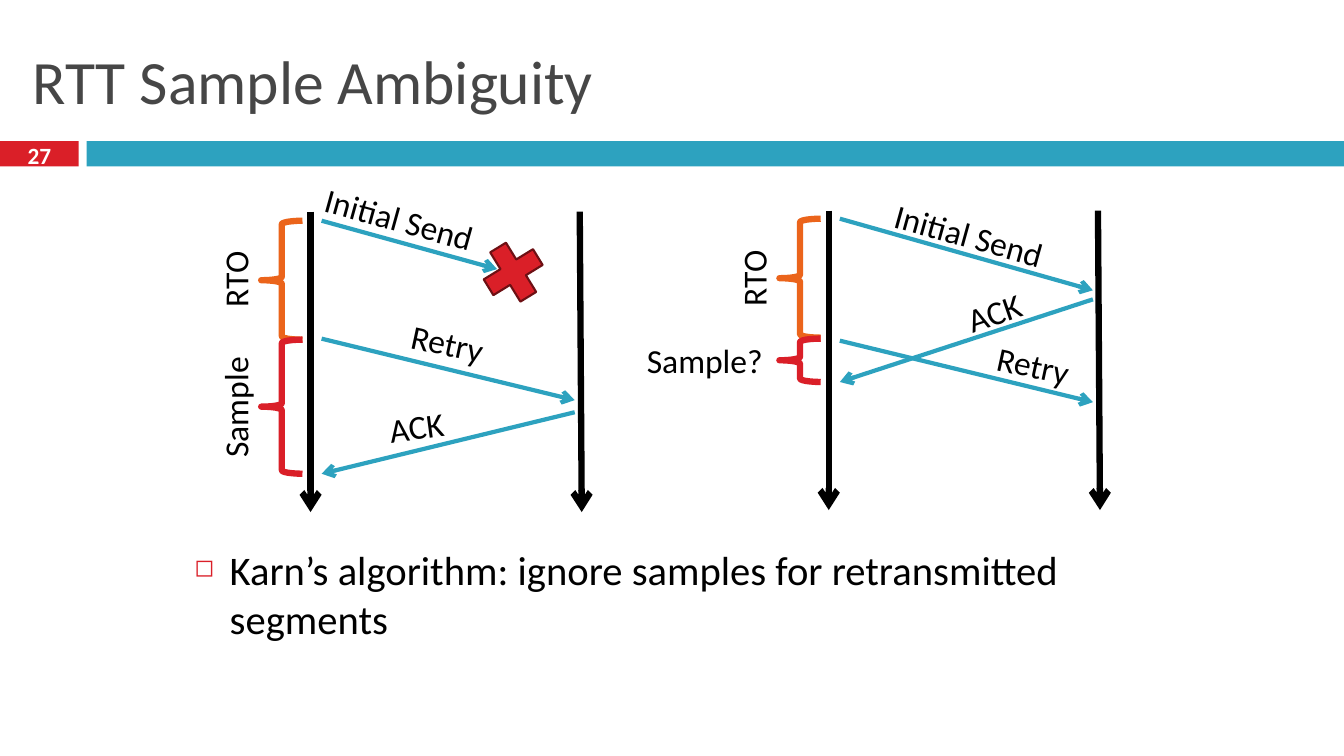
from dataclasses import dataclass

from lxml import etree
from pptx import Presentation
from pptx import util as u
from pptx.dml.color import RGBColor
from pptx.enum import shapes, text
from pptx.oxml.ns import qn

TITLE = "RTT Sample Ambiguity"
NUMBER = "27"
TAKEAWAY = "Karn’s algorithm: ignore samples for retransmitted segments"


@dataclass(frozen=True)
class Theme:
    font: str = "Calibri"
    black: str = "000000"
    white: str = "FFFFFF"
    grey: str = "464646"
    teal: str = "2DA2BF"
    red: str = "DA1F28"
    dark_red: str = "6D1014"
    orange: str = "EB641B"
    title: float = 44
    body: float = 29
    label: float = 24
    number: float = 16.6
    thick: float = 4.5
    medium: float = 3
    thin: float = 1.5


THEME = Theme()
SCALE = 9144
SENDER, RECEIVER, LOST = 11, 262, 185
BRACE_LEFT, BRACE_WIDTH = -49, 41
LABEL_HEIGHT = 50

# fmt: off
EXCHANGES = [
    {
        "x": 308, "top": 210, "bottom": 508,
        "messages": [
            (SENDER, 219, LOST, 267),
            (SENDER, 336, RECEIVER, 397),
            (RECEIVER, 409, SENDER, 470),
        ],
        "braces": [(219, 118, THEME.orange), (337, 133, THEME.red)],
        "labels": [
            ("Initial Send", 88, 217, 219, 15.6),
            ("Retry", 136, 340, 111, 12.3),
            ("ACK", 105, 423, 116, -7.8),
            ("RTO", -75, 277, 107, -90),
            ("Sample", -75, 404, 146, -90),
        ],
    },
    {
        "x": 822, "top": 209, "bottom": 506,
        "messages": [
            (SENDER, 217, RECEIVER, 288),
            (RECEIVER, 297, SENDER, 379),
            (SENDER, 338, RECEIVER, 399),
        ],
        "braces": [(217, 118, THEME.orange), (336, 43, THEME.red)],
        "labels": [
            ("Initial Send", 139, 233, 219, 15.6),
            ("ACK", 164, 310, 116, -19),
            ("Retry", 203, 362, 111, 12.3),
            ("RTO", -75, 276, 107, -90),
            ("Sample?", -123, 357, 158, 0),
        ],
    },
]
# fmt: on


def px(*lengths):
    return [u.Emu(round(length * SCALE)) for length in lengths]


def rgb(value):
    return RGBColor.from_string(value)


def write(frame, words, size, color, align=text.PP_ALIGN.LEFT,
          anchor=text.MSO_ANCHOR.TOP, bold=False):
    frame.word_wrap = True
    frame.auto_size = text.MSO_AUTO_SIZE.NONE
    frame.vertical_anchor = anchor
    paragraph = frame.paragraphs[0]
    paragraph.alignment = align
    run = paragraph.add_run()
    run.text = words
    run.font.name = THEME.font
    run.font.size = u.Pt(size)
    run.font.bold = bold
    run.font.color.rgb = rgb(color)
    return paragraph


def add_bullet(paragraph):
    properties = paragraph._p.get_or_add_pPr()
    indent = px(35)[0]
    properties.set("marL", str(indent))
    properties.set("indent", str(-indent))
    color = etree.SubElement(properties, qn("a:buClr"))
    etree.SubElement(color, qn("a:srgbClr"), val=THEME.red)
    etree.SubElement(properties, qn("a:buSzPct"), val="60000")
    etree.SubElement(properties, qn("a:buChar"), char="◻")


def add_shape(slide, kind, box, fill=None, line=None, width=0):
    shape = slide.shapes.add_shape(kind, *px(*box))
    shape.shadow.inherit = False
    if fill:
        shape.fill.solid()
        shape.fill.fore_color.rgb = rgb(fill)
    else:
        shape.fill.background()
    if line:
        shape.line.color.rgb = rgb(line)
        shape.line.width = u.Pt(width)
    else:
        shape.line.fill.background()
    return shape


def add_arrow(slide, ends, color, width):
    arrow = slide.shapes.add_connector(shapes.MSO_CONNECTOR.STRAIGHT, *px(*ends))
    arrow.line.color.rgb = rgb(color)
    arrow.line.width = u.Pt(width)
    etree.SubElement(arrow.line._get_or_add_ln(), qn("a:tailEnd"), type="arrow")
    etree.SubElement(arrow._element.spPr, qn("a:effectLst"))


def add_label(slide, words, center_x, center_y, width, rotation):
    box = slide.shapes.add_textbox(
        *px(center_x - width / 2, center_y - LABEL_HEIGHT / 2, width, LABEL_HEIGHT))
    box.rotation = rotation
    write(box.text_frame, words, THEME.label, THEME.black, text.PP_ALIGN.CENTER)


def add_exchange(slide, exchange):
    x, top, bottom = exchange["x"], exchange["top"], exchange["bottom"]
    for start, end in [(0, 0), (267, 269)]:
        add_arrow(slide, (x + start, top, x + end, bottom), THEME.black, THEME.thick)
    for start, start_y, end, end_y in exchange["messages"]:
        add_arrow(slide, (x + start, start_y, x + end, end_y), THEME.teal, THEME.medium)
    for brace_top, height, color in exchange["braces"]:
        add_shape(slide, shapes.MSO_SHAPE.LEFT_BRACE,
                  (x + BRACE_LEFT, brace_top, BRACE_WIDTH, height),
                  line=color, width=THEME.thick)
    for words, offset, center_y, width, rotation in exchange["labels"]:
        add_label(slide, words, x + offset, center_y, width, rotation)


def main():
    presentation = Presentation()
    presentation.slide_width, presentation.slide_height = px(1333, 750)
    slide = presentation.slides.add_slide(presentation.slide_layouts[5])

    title = slide.shapes.title
    title.left, title.top, title.width, title.height = px(22, 25, 1289, 108)
    write(title.text_frame, TITLE, THEME.title, THEME.grey,
          anchor=text.MSO_ANCHOR.MIDDLE)

    rectangle = shapes.MSO_SHAPE.RECTANGLE
    add_shape(slide, rectangle, (0, 140, 78, 25), THEME.red)
    add_shape(slide, rectangle, (86, 140, 1247, 25), THEME.teal)
    number = slide.shapes.add_textbox(*px(0, 137, 78, 33))
    write(number.text_frame, NUMBER, THEME.number, THEME.white,
          text.PP_ALIGN.CENTER, text.MSO_ANCHOR.MIDDLE, bold=True)

    for exchange in EXCHANGES:
        add_exchange(slide, exchange)
    loss = add_shape(slide, shapes.MSO_SHAPE.MATH_MULTIPLY, (470, 231, 78, 78),
                     THEME.red, THEME.dark_red, THEME.thin)
    loss.rotation = 13.5

    takeaway = slide.shapes.add_textbox(*px(183, 536, 967, 197))
    add_bullet(write(takeaway.text_frame, TAKEAWAY, THEME.body, THEME.black))

    presentation.save("out.pptx")


if __name__ == "__main__":
    main()
